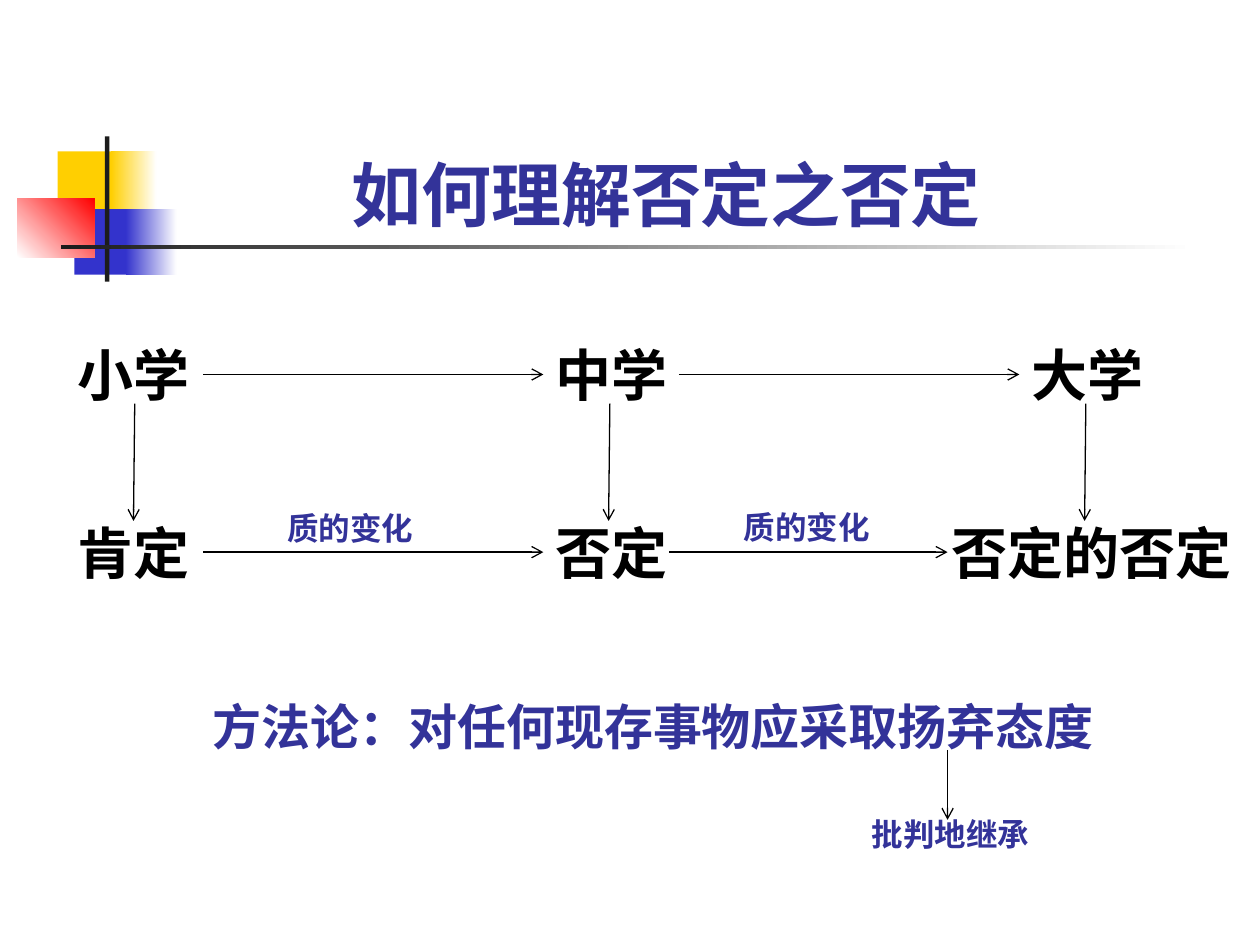
import pptx
import pptx.util
import pptx.dml.color
import pptx.enum.shapes
import pptx.enum.text
import pptx.oxml
import pptx.oxml.ns

Pt = pptx.util.Pt
COLORS = {"yellow": "FFCF01", "blue": "3333CC", "red": "FF0000", "dark": "1C1C1C",
          "white": "FFFFFF", "black": "000000", "indigo": "333399"}

# Corner ornament: left, top, width, height, colours (two make a gradient), angle
ORNAMENT = [
    (33, 86.5, 34.5, 37.5, ["yellow"], 0),
    (63.5, 86.5, 26, 37.5, ["yellow", "white"], 0),
    (42.5, 119.5, 33, 37.5, ["blue"], 0),
    (72, 119.5, 29, 37.5, ["blue", "white"], 0),
    (10, 113.5, 44, 33.5, ["white", "red"], 45),
    (60, 78, 2.5, 83, ["dark"], 0),
    (35, 140, 648, 2.5, ["dark", "white"], 0),
]

# Text styles: size, colour, font, box height
STYLES = {
    "title": (40, "indigo", "Arial", 55.5),
    "stage": (32, "black", "Arial", 46),
    "note": (18, "indigo", "Arial", 29),
    "method": (28, "indigo", "Noto Sans CJK SC", 41),
}
ROW_TOPS = {"school": 191, "logic": 292.5}

# Name, text, style, left, top, width
TEXTS = [
    ("title", "如何理解否定之否定", "title", 193.7, 83, 383),
    ("primary", "小学", "stage", 37.3, ROW_TOPS["school"], 79),
    ("middle", "中学", "stage", 310.5, ROW_TOPS["school"], 85.5),
    ("university", "大学", "stage", 582.5, ROW_TOPS["school"], 85.5),
    ("affirmation", "肯定", "stage", 37.3, ROW_TOPS["logic"], 79),
    ("change 1", "质的变化", "note", 157, 287.5, 90),
    ("negation", "否定", "stage", 310.5, ROW_TOPS["logic"], 85.5),
    ("change 2", "质的变化", "note", 418, 286.5, 90),
    ("double negation", "否定的否定", "stage", 536.5, ROW_TOPS["logic"], 181.5),
    ("method", "方法论：对任何现存事物应采取扬弃态度", "method", 114.5, 394.5, 520),
    ("inherit", "批判地继承", "note", 491, 462, 104.5),
]

# Start, end, box joined at its right side, box joined at its left side
ARROWS = [
    ((116.3, 214), (310.5, 214), "primary", "middle"),
    ((388, 214), (582.5, 214), None, "university"),
    ((116.3, 315.5), (310.5, 315.5), "affirmation", "negation"),
    ((382.5, 315.5), (541.5, 315.5), None, None),
    ((541.5, 428.5), (541.5, 468.5), None, None),
]
# The three stages drop to the logic row with a slight slant
ARROWS += [((x, 230.7), (x - 0.7, 297.7), None, None) for x in (77, 348.5, 620.5)]


def rgb(name):
    return pptx.dml.color.RGBColor.from_string(COLORS[name])


def add_block(s, left, top, width, height, colors, angle):
    sp = s.shapes.add_shape(pptx.enum.shapes.MSO_SHAPE.RECTANGLE,
                            Pt(left), Pt(top), Pt(width), Pt(height))
    sp.shadow.inherit = False
    sp.line.fill.background()
    if len(colors) == 1:
        sp.fill.solid()
        sp.fill.fore_color.rgb = rgb(colors[0])
        return
    sp.fill.gradient()
    sp.fill.gradient_angle = angle
    for position, (stop, color) in enumerate(zip(sp.fill.gradient_stops, colors)):
        stop.position = position
        stop.color.rgb = rgb(color)


def add_text(s, text, style, left, top, width):
    size, color, font, height = STYLES[style]
    sp = s.shapes.add_textbox(Pt(left), Pt(top), Pt(width), Pt(height))
    tf = sp.text_frame
    tf.word_wrap = True
    p = tf.paragraphs[0]
    p.alignment = pptx.enum.text.PP_ALIGN.LEFT
    r = p.add_run()
    r.text = text
    for key, value in {"size": Pt(size), "bold": True, "name": font}.items():
        setattr(r.font, key, value)
    r.font.color.rgb = rgb(color)
    return sp


def add_arrow(s, start, end, source, target):
    line = s.shapes.add_connector(pptx.enum.shapes.MSO_CONNECTOR.STRAIGHT,
                                  *(Pt(v) for v in start + end))
    if source:
        line.begin_connect(source, 3)
    if target:
        line.end_connect(target, 1)
    line.line.width = Pt(0.75)
    line.line.color.rgb = rgb("black")
    ns = pptx.oxml.ns.nsdecls("a")
    line.line._get_or_add_ln().append(
        pptx.oxml.parse_xml(f'<a:tailEnd {ns} type="arrow"/>'))
    line._element.spPr.append(pptx.oxml.parse_xml(f"<a:effectLst {ns}/>"))


def main():
    prs = pptx.Presentation()
    prs.slide_width, prs.slide_height = Pt(720), Pt(540)
    s = prs.slides.add_slide(prs.slide_layouts[6])
    for block in ORNAMENT:
        add_block(s, *block)
    boxes = {name: add_text(s, *rest) for name, *rest in TEXTS}
    for start, end, source, target in ARROWS:
        add_arrow(s, start, end, boxes.get(source), boxes.get(target))
    prs.save("out.pptx")


if __name__ == "__main__":
    main()
